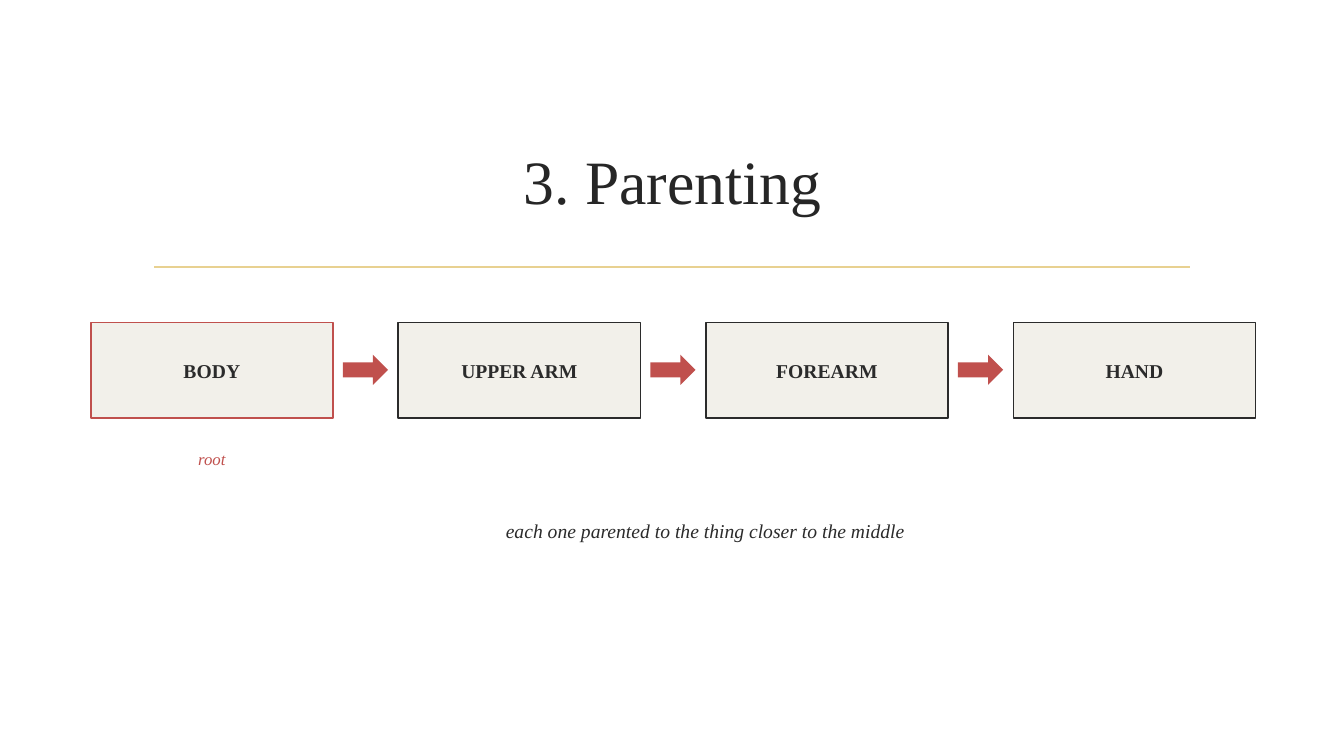
from dataclasses import dataclass

from lxml import etree
from pptx import Presentation
from pptx import util as u
from pptx.dml.color import RGBColor
from pptx.enum import shapes, text
from pptx.oxml import ns
from pptx.shapes.autoshape import Shape
from pptx.slide import Slide

COLORS = {
    "title": "262626",
    "ink": "2B2B2B",
    "accent": "C0504D",
    "box": "F2F0EA",
    "rule": "E8D191",
}
FONT = "Times New Roman"
BOX_LEFT, BOX_TOP, BOX_WIDTH, BOX_HEIGHT = 2.29, 8.13, 6.1, 2.41
BOX_PITCH = 7.75
ARROW_OFFSET, ARROW_TOP, ARROW_WIDTH, ARROW_HEIGHT = 6.35, 8.94, 1.14, 0.76


@dataclass(frozen=True)
class Joint:
    label: str
    outline: str = "ink"


@dataclass(frozen=True)
class Caption:
    label: str
    left: float
    top: float
    width: float
    size: int
    color: str


JOINTS = [
    Joint("BODY", "accent"),
    Joint("UPPER ARM"),
    Joint("FOREARM"),
    Joint("HAND"),
]
CAPTIONS = [
    Caption("root", BOX_LEFT, 11.18, BOX_WIDTH, 12, "accent"),
    Caption("each one parented to the thing closer to the middle", 6.35, 12.95, 22.86, 14, "ink"),
]


def rgb(name: str) -> RGBColor:
    return RGBColor.from_string(COLORS[name])


def write(shape: Shape, label: str, size: int, color: str,
          bold: bool = False, italic: bool = False) -> None:
    frame = shape.text_frame
    frame.text = label
    frame.word_wrap = True
    paragraph = frame.paragraphs[0]
    paragraph.alignment = text.PP_ALIGN.CENTER
    font = paragraph.font
    font.name, font.size = FONT, u.Pt(size)
    font.bold, font.italic = bold, italic
    font.color.rgb = rgb(color)


def add_title(slide: Slide, label: str) -> None:
    title = slide.shapes.title
    title.left, title.top = u.Cm(3.61), u.Cm(2.72)
    title.width, title.height = u.Cm(26.67), u.Cm(3.63)
    write(title, label, 44, "title")
    title.text_frame.vertical_anchor = text.MSO_ANCHOR.MIDDLE


def add_rule(slide: Slide) -> None:
    rule = slide.shapes.add_connector(
        shapes.MSO_CONNECTOR.STRAIGHT, u.Cm(3.89), u.Cm(6.73), u.Cm(30), u.Cm(6.73))
    rule.line.color.rgb = rgb("rule")
    rule.line.width = u.Pt(1.25)
    etree.SubElement(rule._element.spPr, ns.qn("a:effectLst"))


def add_joint(slide: Slide, joint: Joint, left: float) -> None:
    box = slide.shapes.add_shape(
        shapes.MSO_SHAPE.RECTANGLE,
        u.Cm(left), u.Cm(BOX_TOP), u.Cm(BOX_WIDTH), u.Cm(BOX_HEIGHT))
    box.shadow.inherit = False
    box.fill.solid()
    box.fill.fore_color.rgb = rgb("box")
    box.line.color.rgb = rgb(joint.outline)
    box.line.width = u.Pt(1.25)
    write(box, joint.label, 14, "ink", bold=True)
    box.text_frame.vertical_anchor = text.MSO_ANCHOR.MIDDLE


def add_arrow(slide: Slide, left: float) -> None:
    arrow = slide.shapes.add_shape(
        shapes.MSO_SHAPE.RIGHT_ARROW,
        u.Cm(left), u.Cm(ARROW_TOP), u.Cm(ARROW_WIDTH), u.Cm(ARROW_HEIGHT))
    arrow.shadow.inherit = False
    arrow.fill.solid()
    arrow.fill.fore_color.rgb = rgb("accent")
    arrow.line.fill.background()


def add_caption(slide: Slide, caption: Caption) -> None:
    box = slide.shapes.add_textbox(
        u.Cm(caption.left), u.Cm(caption.top), u.Cm(caption.width), u.Cm(1.02))
    write(box, caption.label, caption.size, caption.color, italic=True)
    box.text_frame.auto_size = text.MSO_AUTO_SIZE.SHAPE_TO_FIT_TEXT


def main() -> None:
    presentation = Presentation()
    presentation.slide_width, presentation.slide_height = u.Cm(33.87), u.Cm(19.05)
    slide = presentation.slides.add_slide(presentation.slide_layouts.get_by_name("Title Only"))
    add_rule(slide)
    add_title(slide, "3. Parenting")
    for index, joint in enumerate(JOINTS):
        left = BOX_LEFT + index * BOX_PITCH
        add_joint(slide, joint, left)
        if index < len(JOINTS) - 1:
            add_arrow(slide, left + ARROW_OFFSET)
    for caption in CAPTIONS:
        add_caption(slide, caption)
    presentation.save("out.pptx")


if __name__ == "__main__":
    main()
